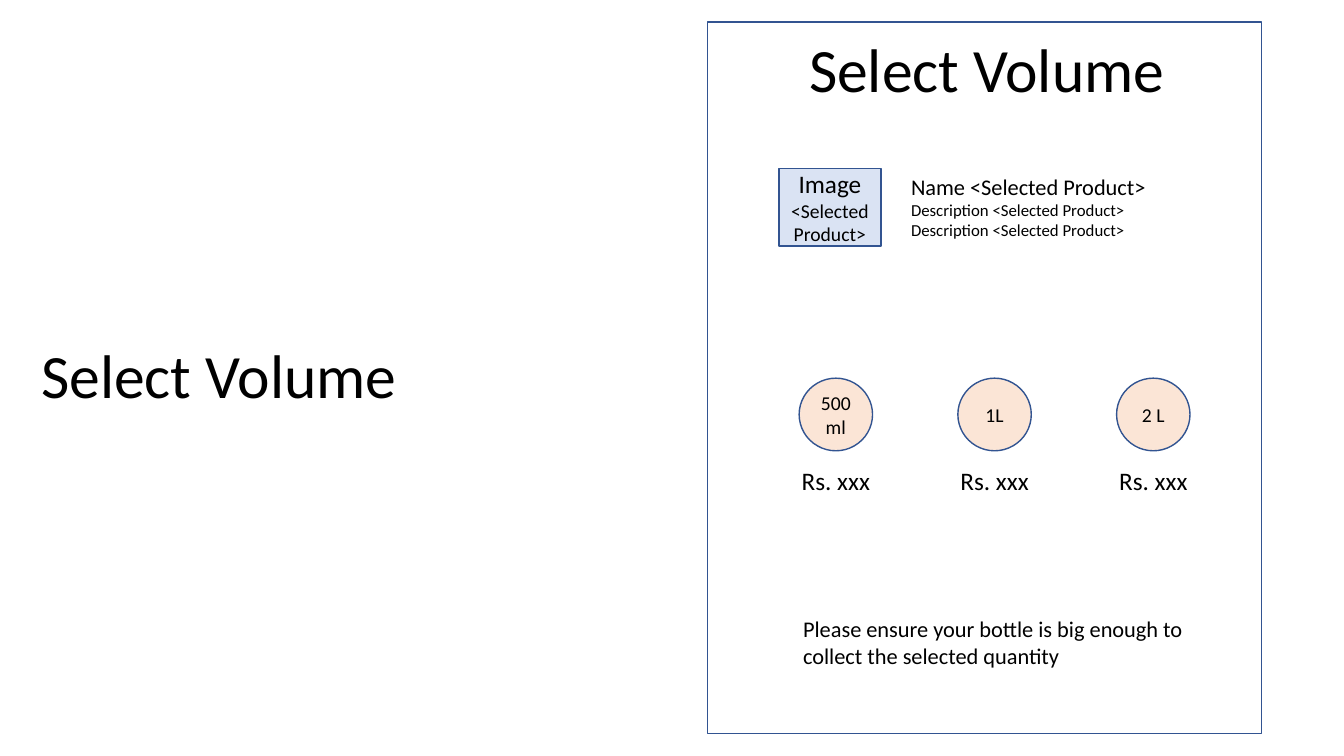
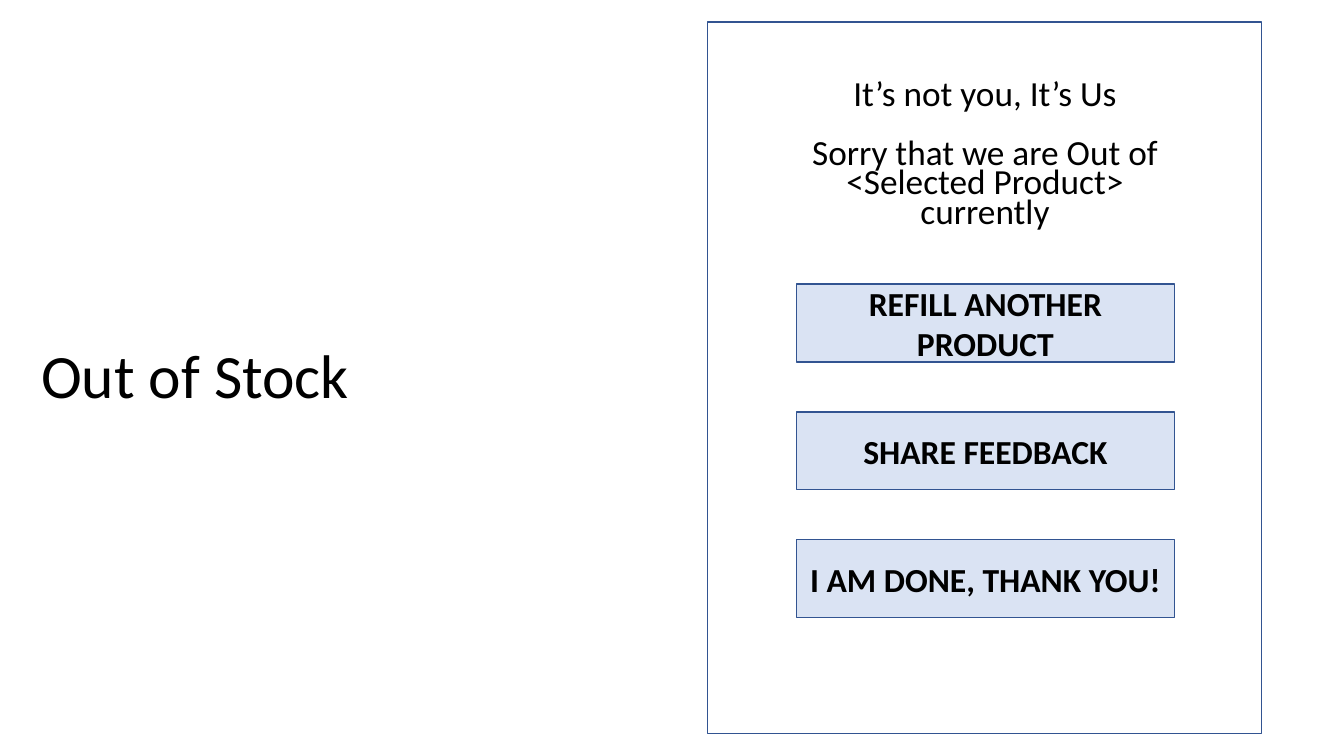
"""Build two kiosk screen mock-ups: volume selection and out of stock."""
from pptx import Presentation
from pptx.dml.color import RGBColor
from pptx.enum.shapes import MSO_SHAPE as SHAPE
from pptx.enum.text import MSO_ANCHOR as ANCHOR, PP_ALIGN as ALIGN
from pptx.util import Cm, Pt

COLORS = {"text": "000000", "line": "325491", "blue": "DAE3F3", "peach": "FBE5D6"}
FONT = "Calibri"
TITLE_SIZE = 44


def rgb(name):
    return RGBColor.from_string(COLORS[name])


def style(p, size, align=ALIGN.LEFT, spacing=None, bold=False):
    p.alignment = align
    p.line_spacing = spacing
    p.font.name = FONT
    p.font.size = Pt(size)
    p.font.bold = bold
    p.font.color.rgb = rgb("text")


def add_text(slide, box, lines, align=ALIGN.LEFT, anchor=ANCHOR.TOP, spacing=None, wrap=True):
    tf = slide.shapes.add_textbox(*map(Cm, box)).text_frame
    tf.word_wrap = wrap
    tf.vertical_anchor = anchor
    for i, (text, size) in enumerate(lines):
        p = tf.add_paragraph() if i else tf.paragraphs[0]
        p.text = text
        style(p, size, align, spacing)
    return tf


def add_box(slide, box, fill=None, text="", size=18, bold=False, kind=SHAPE.RECTANGLE):
    sp = slide.shapes.add_shape(kind, *map(Cm, box))
    sp.shadow.inherit = False
    sp.line.color.rgb = rgb("line")
    sp.line.width = Pt(1)
    if fill:
        sp.fill.solid()
        sp.fill.fore_color.rgb = rgb(fill)
    else:
        sp.fill.background()
    tf = sp.text_frame
    tf.word_wrap = True
    tf.vertical_anchor = ANCHOR.MIDDLE
    p = tf.paragraphs[0]
    p.text = text
    style(p, size, ALIGN.CENTER, bold=bold)
    return p


def add_title(slide, box, title):
    add_text(slide, box, [(title, TITLE_SIZE)], anchor=ANCHOR.MIDDLE, spacing=0.9)


def add_screen(prs, title):
    slide = prs.slides.add_slide(prs.slide_layouts[6])
    add_title(slide, (0.79, 7.7, 29.21, 3.68), title)
    add_box(slide, (17.83, 0.56, 13.97, 17.93))
    return slide


def add_product(slide):
    p = add_box(slide, (19.63, 4.24, 2.57, 1.96), "blue", "Image ")
    r = p.add_run()
    r.text = "<Selected Product>"
    r.font.size = Pt(14)
    description = ("Description <Selected Product>", 12)
    add_text(slide, (22.71, 4.24, 8.59, 1.96),
             [("Name <Selected Product>", 16), description, description])


def add_volumes(slide, volumes):
    for i, volume in enumerate(volumes):
        left = 20.14 + i * 4
        add_box(slide, (left, 9.53, 1.85, 1.83), "peach", volume, 14, kind=SHAPE.OVAL)
        add_text(slide, (left - 0.19, 11.61, 2.23, 1.02), [("Rs. xxx", 18)],
                 ALIGN.CENTER, wrap=False)


def add_buttons(slide, labels):
    for i, label in enumerate(labels):
        add_box(slide, (20.07, 7.16 + i * 3.22, 9.53, 1.96), "blue", label, 24, bold=True)


def build_select_volume(prs):
    slide = add_screen(prs, "Select Volume")
    add_title(slide, (20.14, 0, 9.55, 3.68), "Select Volume")
    add_product(slide)
    add_volumes(slide, ("500ml", "1L", "2 L"))
    add_text(slide, (19.99, 15.37, 10.16, 1.63),
             [("Please ensure your bottle is big enough to collect the selected quantity", 16)])


def build_out_of_stock(prs):
    slide = add_screen(prs, "Out of Stock")
    tf = add_text(slide, (19.76, 1.85, 10.13, 4.19),
                  [("It’s not you, It’s Us", 25.2),
                   ("Sorry that we are Out of <Selected Product> currently", 25.2)],
                  ALIGN.CENTER, ANCHOR.MIDDLE, 0.7)
    tf.paragraphs[1].space_before = Pt(21)
    add_buttons(slide, ("REFILL ANOTHER PRODUCT", "SHARE FEEDBACK", "I AM DONE, THANK YOU!"))


def main():
    prs = Presentation()
    prs.slide_width, prs.slide_height = Cm(33.87), Cm(19.05)
    build_select_volume(prs)
    build_out_of_stock(prs)
    prs.save("out.pptx")


if __name__ == "__main__":
    main()
